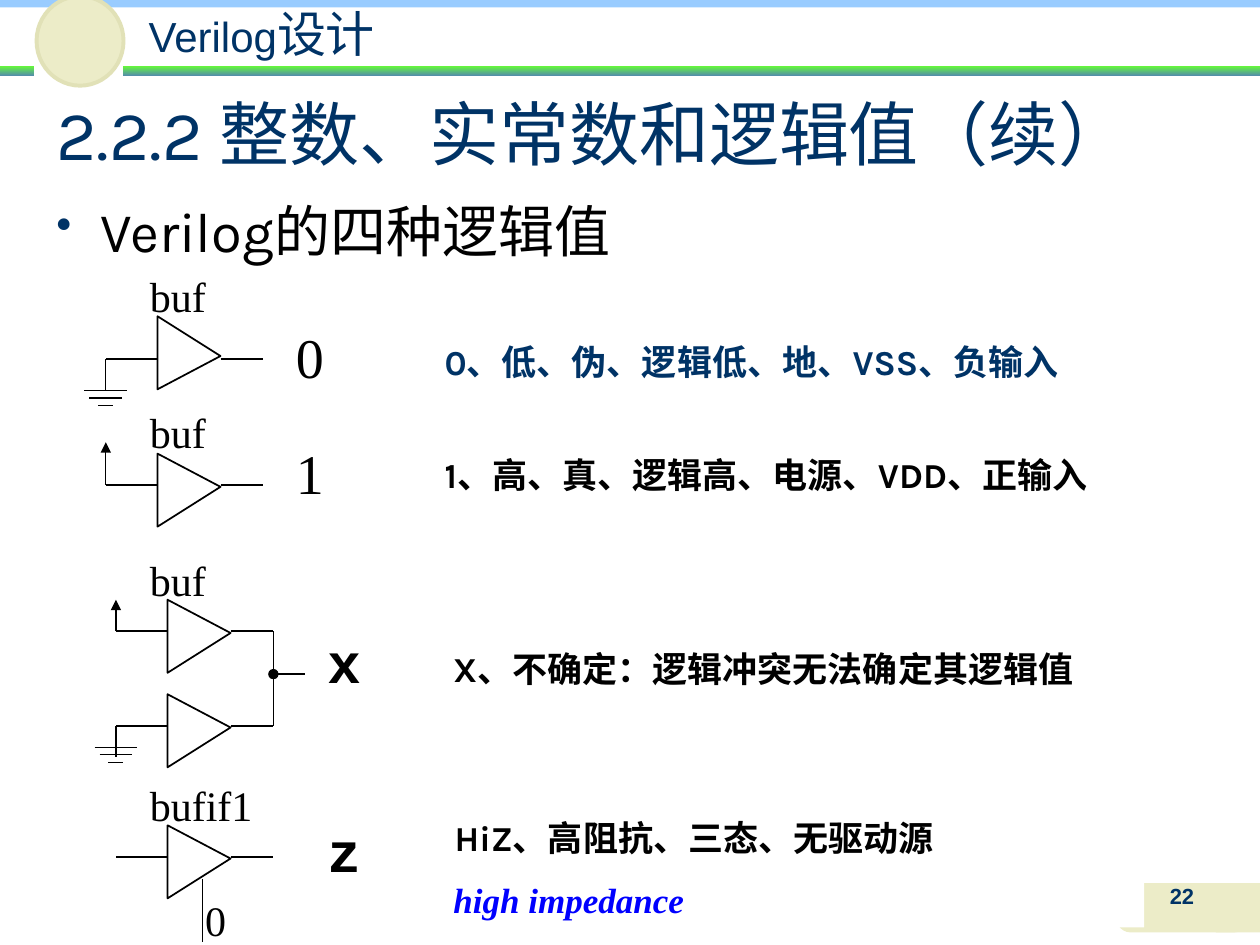
import dataclasses

import lxml.etree
import pptx
import pptx.dml.color
import pptx.enum.shapes
import pptx.enum.text
import pptx.oxml.ns
import pptx.util

Inches = pptx.util.Inches
Pt = pptx.util.Pt
SHAPE = pptx.enum.shapes.MSO_SHAPE
ALIGN = pptx.enum.text.PP_ALIGN
ANCHOR = pptx.enum.text.MSO_ANCHOR
FIT = pptx.enum.text.MSO_AUTO_SIZE
qn = pptx.oxml.ns.qn


@dataclasses.dataclass(frozen=True)
class Theme:
    navy: str = "003366"
    black: str = "000000"
    white: str = "FFFFFF"
    blue: str = "0000FF"
    sky: str = "99CCFF"
    cream: str = "ECECC8"
    rim: str = "E1E1B7"
    stripe: tuple = ("66FF33", "5490A8")
    sans: str = "Arial"
    body: str = "Karla"
    serif: str = "Times New Roman"
    mono: str = "Courier New"
    title: float = 40
    value: float = 32
    header: float = 28
    label: float = 24
    note: float = 20
    number: float = 12.5
    thin: float = 0.75
    outline: float = 1


def rgb(value):
    return pptx.dml.color.RGBColor.from_string(value)


def add_xml(parent, tag, **attrs):
    return lxml.etree.SubElement(parent, qn(tag), attrs)


class LogicSlide:
    """Draws the elements of the logic value slide in one style."""

    def __init__(self, slide, theme):
        self.s = slide
        self.t = theme

    def shape(self, kind, box, fill=None, line=None, width=1, adj=None, rotation=0):
        sp = self.s.shapes.add_shape(kind, *map(Inches, box))
        sp.shadow.inherit = False
        sp.rotation = rotation
        if adj is not None:
            sp.adjustments[0] = adj
        if isinstance(fill, tuple):
            sp.fill.gradient()
            sp.fill.gradient_angle = 270
            for stop, color in zip(sp.fill.gradient_stops, fill):
                stop.color.rgb = rgb(color)
        elif fill:
            sp.fill.solid()
            sp.fill.fore_color.rgb = rgb(fill)
        else:
            sp.fill.background()
        if line:
            sp.line.color.rgb = rgb(line)
            sp.line.width = Pt(width)
        else:
            sp.line.fill.background()
        return sp

    def line(self, x1, y1, x2, y2, width=None, head=None, tail=None):
        sp = self.s.shapes.add_connector(
            pptx.enum.shapes.MSO_CONNECTOR.STRAIGHT, *map(Inches, (x1, y1, x2, y2)))
        sp.line.color.rgb = rgb(self.t.black)
        sp.line.width = Pt(width or self.t.thin)
        ln = sp.line._get_or_add_ln()
        for tag, end in (("a:headEnd", head), ("a:tailEnd", tail)):
            if end:
                add_xml(ln, tag, type=end)
        add_xml(sp._element.spPr, "a:effectLst")

    def text(self, box, runs, frame=None, para=None, indent=None, bullet=None, sp=None):
        sp = sp or self.s.shapes.add_textbox(*map(Inches, box))
        tf = sp.text_frame
        formats = {"word_wrap": True, "vertical_anchor": ANCHOR.TOP, **(frame or {})}
        for name, value in formats.items():
            setattr(tf, name, value)
        p = tf.paragraphs[0]
        if indent:
            pPr = p._p.get_or_add_pPr()
            for name, value in zip(("marL", "indent"), indent):
                pPr.set(name, str(Inches(value)))
            if bullet:
                add_xml(add_xml(pPr, "a:buClr"), "a:srgbClr", val=self.t.navy)
                add_xml(pPr, "a:buSzPct", val="80000")
                add_xml(pPr, "a:buChar", char=bullet)
        for name, value in {"alignment": ALIGN.LEFT, **(para or {})}.items():
            setattr(p, name, value)
        for words, size, font, color, style in runs:
            r = p.add_run()
            r.text = words
            for name, value in {"name": font, "size": Pt(size), **style}.items():
                setattr(r.font, name, value)
            r.font.color.rgb = rgb(color)

    def label(self, box, words, size, font, **style):
        self.text(box, [(words, size, font, self.t.black, style)],
                  {"auto_size": FIT.SHAPE_TO_FIT_TEXT})

    def meaning(self, box, words, font, color, **style):
        sp = self.shape(SHAPE.RECTANGLE, box, self.t.white)
        self.text(box, [(words, self.t.note, font, color, {"bold": True, **style})],
                  para={"alignment": ALIGN.JUSTIFY}, indent=(0.38, -0.38), sp=sp)

    def gate(self, x, y, rise=0.21, adj=0.455):
        self.shape(SHAPE.ISOSCELES_TRIANGLE, (x - 0.04, y - rise, 0.58, 0.5),
                   line=self.t.black, width=self.t.outline, adj=adj, rotation=90)
        for start, end in ((0.5, 0.84), (0, -0.41)):
            self.line(x + start, y, x + end, y, self.t.outline)

    def ground(self, x, y):
        for step, half in enumerate((0.17, 0.13, 0.06)):
            level = y + 0.06 * step
            self.line(x - half, level, x + half, level)


def main():
    prs = pptx.Presentation()
    prs.slide_width, prs.slide_height = Inches(10), Inches(7.5)
    t = Theme()
    s = LogicSlide(prs.slides.add_slide(prs.slide_layouts[6]), t)

    s.shape(SHAPE.RECTANGLE, (0.98, 0.52, 9.02, 0.08), t.stripe)
    s.shape(SHAPE.RECTANGLE, (9.65, 7.01, 0.35, 0.39), t.cream)
    s.shape(SHAPE.ROUNDED_RECTANGLE, (8.86, 7.01, 1.05, 0.39), t.cream, adj=0.29)
    s.shape(SHAPE.RECTANGLE, (0, -0.02, 10, 0.08), t.sky)
    s.shape(SHAPE.OVAL, (0.29, -0.03, 0.69, 0.71), t.cream, t.rim, 2.25)
    s.text((0.98, 0.03, 4.1, 0.42),
           [("Verilog", t.label, t.sans, t.navy, {}), ("设计", t.header, t.sans, t.navy, {})],
           {"margin_left": Inches(0.02), "margin_right": Inches(0.02),
            "margin_top": 0, "margin_bottom": 0}, indent=(0.18, 0))
    s.shape(SHAPE.RECTANGLE, (0, 0.52, 0.27, 0.08), t.stripe)
    s.text((8.92, 7, 0.92, 0.33), [("22", t.number, t.sans, t.navy, {"bold": True})],
           para={"alignment": ALIGN.CENTER, "line_spacing": 0.8})

    s.meaning((3.43, 2.65, 5.58, 0.43), "0、低、伪、逻辑低、地、VSS、负输入", t.body, t.navy)
    s.gate(1.25, 2.85, rise=0.3, adj=0.545)
    for x, y in ((1.25, 3.85), (1.33, 5.01), (1.33, 5.76), (1.33, 6.8)):
        s.gate(x, y)
    s.line(2.17, 5.01, 2.17, 5.76)
    s.line(1.61, 6.98, 1.61, 7.48)
    s.line(2.17, 5.35, 2.42, 5.35, head="oval")
    for x, y in ((0.84, 2.85), (0.92, 5.76)):
        s.line(x, y, x, y + 0.25)
    for x, y in ((0.84, 3.1), (0.92, 5.93)):
        s.ground(x, y)
    for x, y, top in ((0.92, 5.01, 4.76), (0.84, 3.85, 3.51)):
        s.line(x, y, x, top, tail="triangle")

    s.label((2.25, 2.51, 0.67, 0.64), "0", t.value, t.serif)
    s.label((2.25, 3.43, 0.58, 0.64), "1", t.value, t.serif)
    s.label((2.5, 4.93, 0.5, 0.64), "x", t.value, t.mono, bold=True)
    s.label((2.5, 6.43, 0.67, 0.64), "z", t.value, t.mono, bold=True)
    s.label((1.53, 7.05, 0.46, 0.5), "0", t.label, t.serif)
    for top, words in ((2.1, "buf"), (4.35, "buf"), (3.18, "buf"), (6.14, "bufif1")):
        s.label((1.09, top, 1.08, 0.5), words, t.label, t.serif)

    for left, top, height, words in (
            (3.43, 3.55, 0.77, "1、高、真、逻辑高、电源、VDD、正输入"),
            (3.5, 5.09, 0.44, "X、不确定：逻辑冲突无法确定其逻辑值"),
            (3.51, 6.43, 0.44, "HiZ、高阻抗、三态、无驱动源")):
        s.meaning((left, top, 5.58, height), words, t.body, t.black)
    s.text((0.35, 1.39, 5.43, 0.87), [("Verilog的四种逻辑值", t.value, t.body, t.black, {})],
           {"vertical_anchor": ANCHOR.MIDDLE}, indent=(0.35, -0.35), bullet="•")
    s.text((0.35, 0.69, 8.98, 0.72),
           [("2.2.2 整数、实常数和逻辑值（续）", t.title, t.body, t.navy, {})],
           {"vertical_anchor": ANCHOR.MIDDLE})
    s.meaning((3.5, 6.92, 5.58, 0.44), "high impedance", t.serif, t.blue, italic=True)

    prs.save("out.pptx")


if __name__ == "__main__":
    main()
